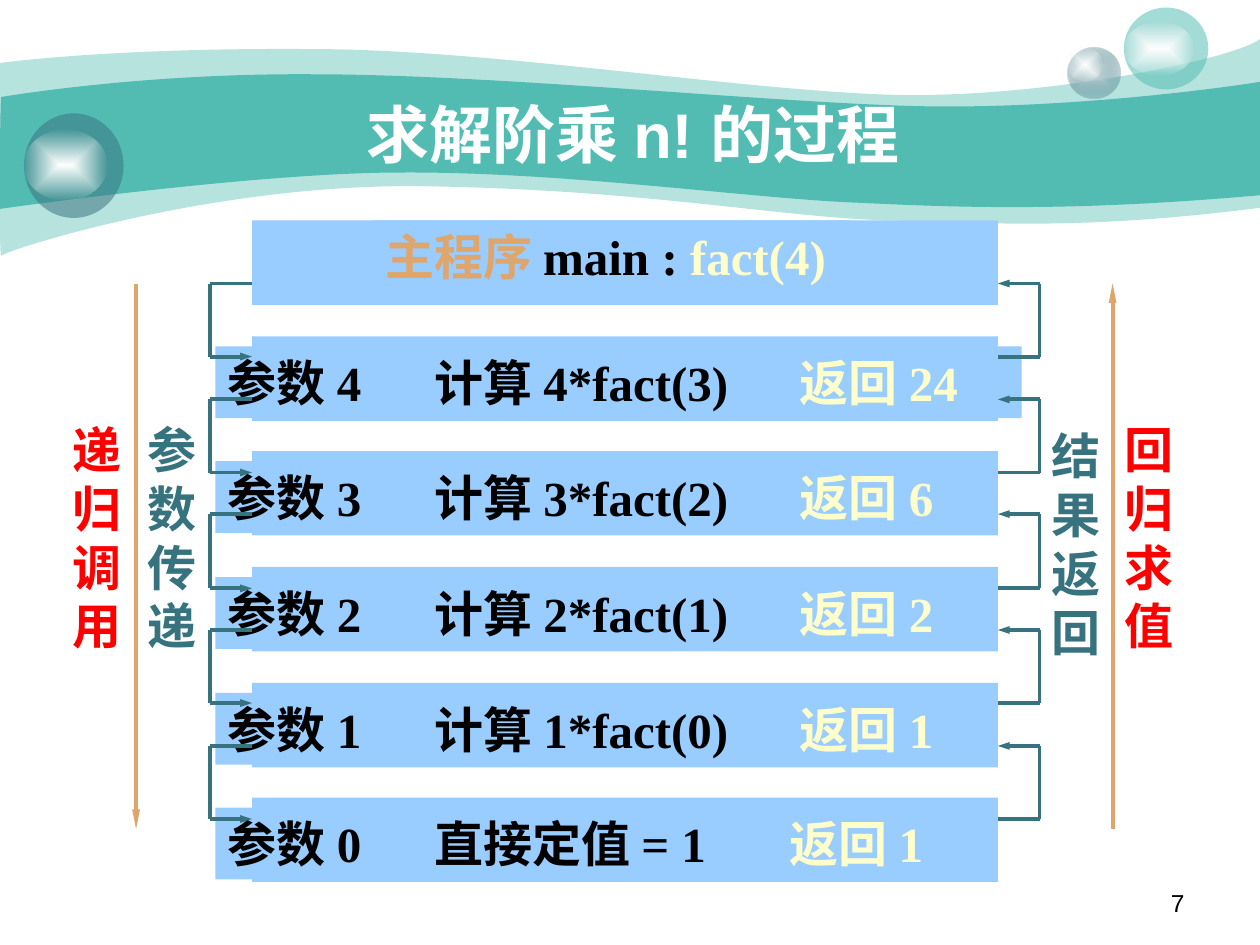
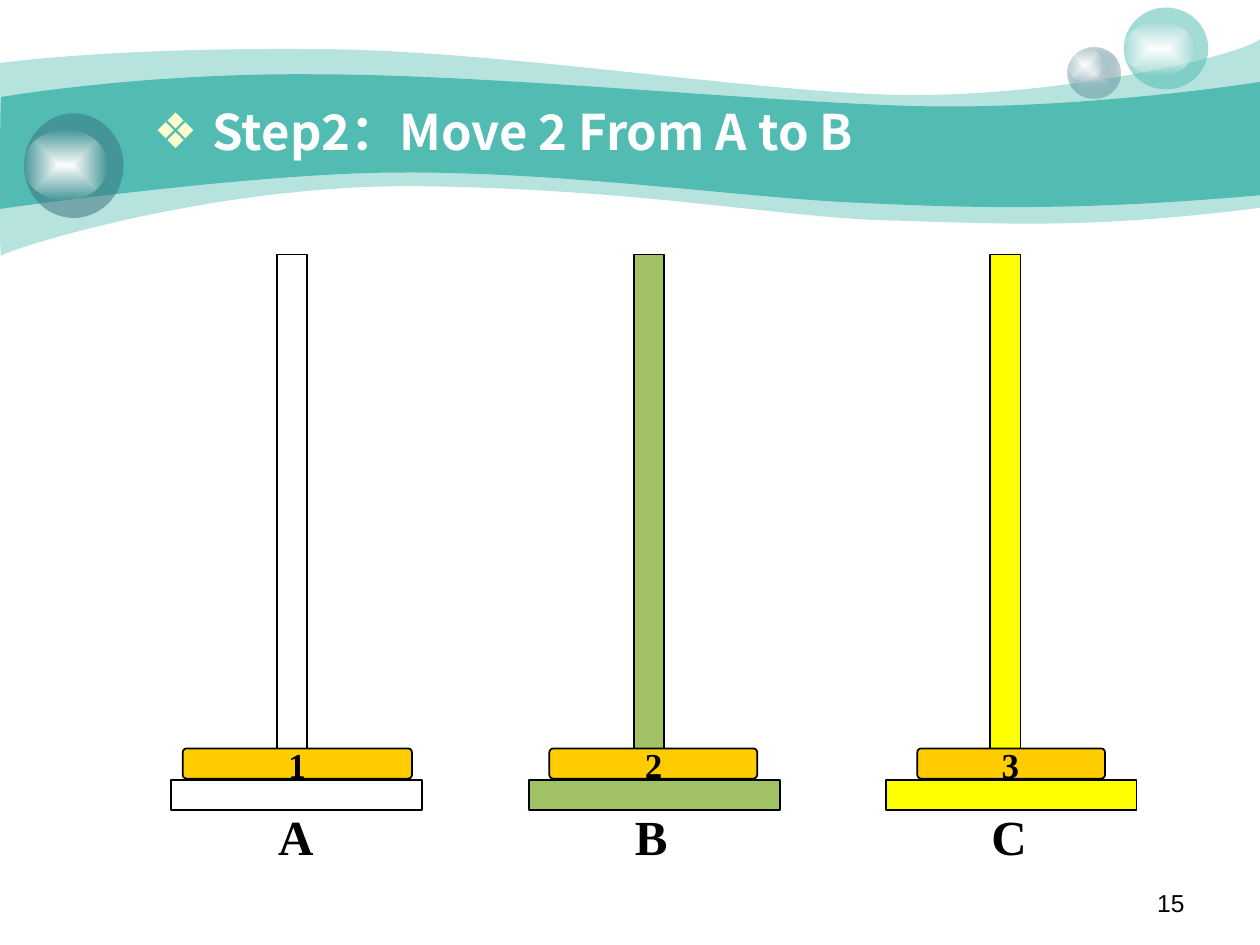
"""Build two slides on recursion: the factorial call chain and a Hanoi step."""
from dataclasses import dataclass
from lxml import etree
from pptx import Presentation, util as u
from pptx.dml.color import RGBColor
from pptx.enum import shapes as sh, text as tx
from pptx.oxml import parse_xml
from pptx.oxml.ns import nsdecls, qn

PX = 9144


@dataclass(frozen=True)
class Theme:
    teal: str = "52BCB2"
    deep: str = "37737F"
    mist: str = "CCDBDE"
    white: str = "FFFFFF"
    black: str = "000000"
    sky: str = "99CCFF"
    cream: str = "FFFFCC"
    tan: str = "E0A56A"
    red: str = "FF0000"
    green: str = "A0C264"
    lemon: str = "FFFF00"
    gold: str = "FFCC00"
    sans: str = "Arial"
    serif: str = "Times New Roman"
    han: str = "Noto Sans CJK SC"
    title: int = 36
    main: int = 28
    disk: int = 20
    page: int = 14
    wire: float = 2.25
    edge: float = 1


T = Theme()

WAVES = [
    (41, (0, 50), [
        (24, 47, 107, 38, 247, 39), (386, 39, 575, 70, 699, 75),
        (822, 80, 980, 47, 1000, 31), (1000, 165),
        (858, 183, 787, 177, 705, 175), (622, 173, 515, 151, 343, 148),
        (172, 144, 4, 199, 1, 203), (-1, 208, 0, 75, 0, 50)]),
    (100, (1, 77), [
        (2, 77, 110, 58, 248, 59), (386, 59, 595, 80, 718, 84),
        (841, 88, 976, 69, 1000, 65), (1000, 155),
        (853, 168, 765, 165, 682, 161), (599, 158, 447, 136, 317, 137),
        (203, 137, -2, 166, -1, 166), (0, 166, 0, 77, 1, 77)]),
]
GLOW = [(T.white, 100), (T.white, 0)]
BALLS = [
    ((847, 38, 42, 40), [(T.mist, 100), (T.deep, 31)]),
    ((847, 38, 28, 27), GLOW),
    ((892, 6, 67, 65), (T.teal, 53)),
    ((892, 17, 56, 43), GLOW),
    ((19, 90, 79, 83), (T.deep, 53)),
    ((19, 103, 66, 56), GLOW),
]

TITLE = "求解阶乘 n! 的过程"
HEAD = [("主程序 ", T.tan), ("main : ", T.black), ("fact(4)", T.cream)]
CALLS = [
    ("参数 4\t计算 4*fact(3)\t", "返回 24", 640, 454),
    ("参数 3\t计算 3*fact(2)\t", "返回 6", 621, 454),
    ("参数 2\t计算 2*fact(1)\t", "返回 2", 621, 454),
    ("参数 1\t计算 1*fact(0)\t", "返回 1", 621, 454),
    ("参数 0\t直接定值 = 1\t", "返回 1", 613, 446),
]
SIDES = [
    ("参数传递", T.deep, (107, 328, 68, 197)),
    ("结果返回", T.deep, (825, 333, 60, 197)),
    ("递归调用", T.red, (48, 328, 68, 197)),
    ("回归求值", T.red, (883, 328, 68, 197)),
]
STEP = "Step2：Move 2 From A to B"
PEGS = [
    ("A", T.white, "1", 145, 182),
    ("B", T.green, "2", 436, 165),
    ("C", T.lemon, "3", 728, 149),
]


def emu(*vals):
    return [round(v * PX) for v in vals]


def put(obj, **vals):
    for key, val in vals.items():
        setattr(obj, key, val)


def rgb(hue):
    return RGBColor.from_string(hue)


def paint(part, hue, alpha=100):
    part.fill.solid()
    part.fill.fore_color.rgb = rgb(hue)
    if alpha < 100:
        clr = part.element.spPr.find(".//" + qn("a:srgbClr"))
        etree.SubElement(clr, qn("a:alpha"), val=str(alpha * 1000))


def blend(part, stops):
    part.fill.background()
    marks = "".join(
        f'<a:gs pos="{i * 100000}"><a:srgbClr val="{hue}">'
        f'<a:alpha val="{a * 1000}"/></a:srgbClr></a:gs>'
        for i, (hue, a) in enumerate(stops))
    grad = parse_xml(
        f'<a:gradFill {nsdecls("a")} rotWithShape="1"><a:gsLst>{marks}</a:gsLst>'
        '<a:path path="rect"><a:fillToRect l="50000" t="50000" r="50000" b="50000"/>'
        '</a:path></a:gradFill>')
    props = part.element.spPr
    props.replace(props.find(qn("a:noFill")), grad)


def form(slide, kind, box, hue=None, line=None):
    part = slide.shapes.add_shape(kind, *emu(*box))
    part.shadow.inherit = False
    if hue:
        paint(part, hue)
    if line:
        put(part.line, width=u.Pt(T.edge))
        part.line.color.rgb = rgb(line)
    else:
        part.line.fill.background()
    return part


def write(part, runs, size=T.main, font=T.serif, bold=True, tabs=(), bullet=None,
          anchor=tx.MSO_ANCHOR.TOP, **para):
    frame = part.text_frame
    put(frame, word_wrap=True, auto_size=tx.MSO_AUTO_SIZE.NONE, vertical_anchor=anchor)
    for side in ("left", "right", "top", "bottom"):
        gap = 10 if side in ("left", "right") else 5
        setattr(frame, "margin_" + side, gap * PX)
    line = frame.paragraphs[0]
    props = line._p.get_or_add_pPr()
    if bullet:
        mark, hue, indent = bullet
        props.set("marL", str(indent * PX))
        props.set("indent", str(-indent * PX))
        clr = etree.SubElement(props, qn("a:buClr"))
        etree.SubElement(clr, qn("a:srgbClr"), val=hue)
        etree.SubElement(props, qn("a:buChar"), char=mark)
    if tabs:
        stops = etree.SubElement(props, qn("a:tabLst"))
        for pos in tabs:
            etree.SubElement(stops, qn("a:tab"), pos=str(pos * PX), algn="l")
    put(line, **{"alignment": tx.PP_ALIGN.LEFT, "space_before": u.Pt(0), **para})
    for words, hue in runs:
        run = line.add_run()
        run.text = words
        put(run.font, size=u.Pt(size), name=font, bold=bold)
        run.font.color.rgb = rgb(hue)
        etree.SubElement(run._r.get_or_add_rPr(), qn("a:ea"), typeface=T.han)


def note(slide, box, words, hue=T.black, **style):
    write(slide.shapes.add_textbox(*emu(*box)), [(words, hue)], **style)


def wire(slide, ends, hue, tip=None, size="med"):
    part = slide.shapes.add_connector(sh.MSO_CONNECTOR.STRAIGHT, *emu(*ends))
    put(part.line, width=u.Pt(T.wire))
    part.line.color.rgb = rgb(hue)
    if tip:
        etree.SubElement(part.line._get_or_add_ln(), qn(f"a:{tip}End"),
                         type="triangle", w="sm", len=size)
    etree.SubElement(part.element.spPr, qn("a:effectLst"))


def curve(slide, start, steps):
    spots = [emu(*step[i:i + 2]) for step in steps for i in range(0, len(step), 2)]
    pen = slide.shapes.build_freeform(*emu(*start))
    pen.add_line_segments(spots, close=True)
    wave = pen.convert_to_shape()
    legs = iter(list(wave.element.iter(qn("a:lnTo"))))
    for step in steps:
        leg = next(legs)
        if len(step) == 6:
            bend = etree.Element(qn("a:cubicBezTo"))
            leg.addprevious(bend)
            for item in (leg, next(legs), next(legs)):
                bend.append(item[0])
                item.getparent().remove(item)
    return wave


def adorn(slide, master):
    made = []
    for alpha, start, steps in WAVES:
        wave = curve(slide, start, steps)
        wave.shadow.inherit = False
        wave.line.fill.background()
        paint(wave, T.teal, alpha)
        made.append(wave)
    for box, fill in BALLS:
        ball = form(slide, sh.MSO_SHAPE.OVAL, box)
        if isinstance(fill, list):
            blend(ball, fill)
        else:
            paint(ball, *fill)
        made.append(ball)
    tree = master.element.cSld.spTree
    for i, part in enumerate(made):
        part.element.nvSpPr.cNvPr.set("id", str(20 + i))
        tree.insert(2 + i, part.element)


def place(part, box):
    put(part, **dict(zip(("left", "top", "width", "height"), emu(*box))))


def page(slide, num):
    note(slide, (717, 700, 233, 35), num, size=T.page, font=T.sans, bold=False,
         alignment=tx.PP_ALIGN.RIGHT)


def chain(slide):
    title = slide.shapes.title
    place(title, (260, 79, 485, 54))
    write(title, [(TITLE, T.white)], size=T.title, font=T.sans,
          anchor=tx.MSO_ANCHOR.MIDDLE, alignment=tx.PP_ALIGN.CENTER)
    rect = sh.MSO_SHAPE.RECTANGLE
    rows = [(HEAD, (296, 175, 379, 57), ())]
    pitch = 275 / 3
    for i, (call, back, wide, stop) in enumerate(CALLS, 1):
        box = (171, round(183 + i * pitch), wide, 57)
        rows.append(([(call, T.black), (back, T.cream)], box, (164, stop)))
    for i, (runs, box, tabs) in enumerate(rows):
        form(slide, rect, (200, round(175 + i * pitch), 592, 67), T.sky)
        write(form(slide, rect, box, T.sky), runs, tabs=tabs)
        if i:
            top = round(225 + (i - 1) * pitch)
            low = round(225 + (i - 1) * pitch + 58.3)
            for near, far, start, end, tip in ((200, 167, top, low, "tail"),
                                               (825, 792, low, top, "head")):
                wire(slide, (near, start, far, start), T.deep)
                wire(slide, (far, end, near, end), T.deep, tip)
                edge = min(near, far) if tip == "tail" else max(near, far)
                wire(slide, (edge, low, edge, top), T.deep)
    for words, hue, box in SIDES:
        note(slide, box, words, hue)
    for left, tip in ((108, "tail"), (883, "head")):
        wire(slide, (left, 225, left, 658), T.tan, tip, "lg")


def hanoi(slide):
    for i, (name, hue, num, start, wide) in enumerate(PEGS):
        step = 283 * i
        for box in ((round(136.4 + 283.3 * i), 619, 199, 24), (220 + step, 202, 24, 415)):
            form(slide, sh.MSO_SHAPE.RECTANGLE, box, hue, T.black)
        note(slide, (211 + step, 635, 100, 57), name)
        disk = form(slide, sh.MSO_SHAPE.ROUNDED_RECTANGLE,
                    (start, 594, wide, 24), T.gold, T.black)
        disk.adjustments[0] = 0.13
        note(slide, (219 + step, 585, 75, 43), num, size=T.disk)
    body = slide.placeholders[1]
    place(body, (112, 81, 705, 61))
    write(body, [(STEP, T.white)], font=T.han, bullet=("❖", T.cream, 47), line_spacing=0.9)


def main():
    deck = Presentation()
    put(deck, slide_width=1000 * PX, slide_height=750 * PX)
    first = deck.slides.add_slide(deck.slide_layouts[5])
    adorn(first, deck.slide_master)
    page(first, "7")
    chain(first)
    last = deck.slides.add_slide(deck.slide_layouts[1])
    title = last.shapes.title.element
    title.getparent().remove(title)
    page(last, "15")
    hanoi(last)
    deck.save("out.pptx")


if __name__ == "__main__":
    main()
